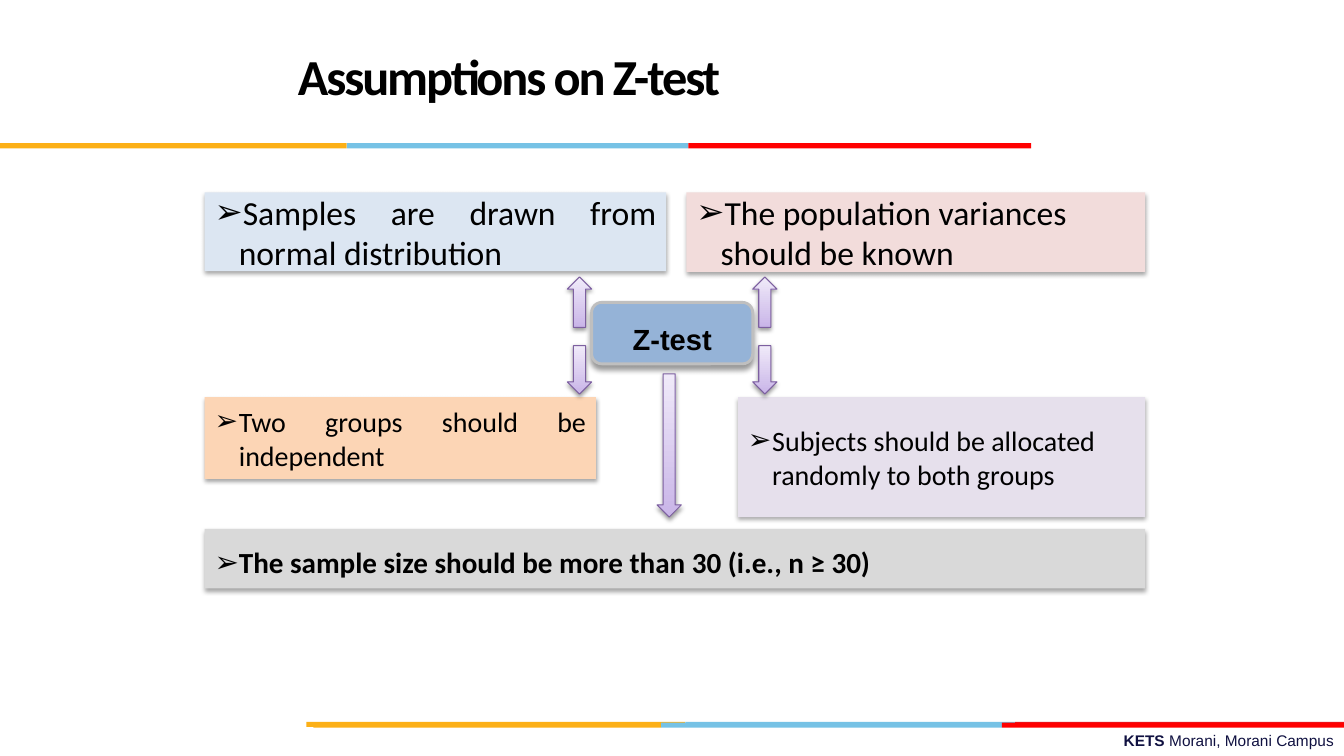
import pptx
import pptx.dml.color
import pptx.enum.shapes
import pptx.enum.text
import pptx.oxml
import pptx.oxml.ns
import pptx.util
from lxml import etree

Cm = pptx.util.Cm
Pt = pptx.util.Pt
RGB = pptx.dml.color.RGBColor
SHAPE = pptx.enum.shapes.MSO_SHAPE
ALIGN = pptx.enum.text.PP_ALIGN
ANCHOR = pptx.enum.text.MSO_ANCHOR
qn = pptx.oxml.ns.qn

BLACK = RGB(0x00, 0x00, 0x00)
NAVY = RGB(0x10, 0x11, 0x41)
GOLD = RGB(0xFC, 0xB0, 0x17)
SKY = RGB(0x76, 0xC2, 0xE5)
RED = RGB(0xFF, 0x00, 0x00)
CRIMSON = RGB(0xE3, 0x1C, 0x24)
HUB_BLUE = RGB(0x95, 0xB3, 0xD7)
HUB_EDGE = RGB(0xBF, 0xBF, 0xBF)
PALE_BLUE = RGB(0xDC, 0xE6, 0xF2)
PALE_PINK = RGB(0xF2, 0xDC, 0xDB)
PEACH = RGB(0xFC, 0xD5, 0xB5)
LAVENDER = RGB(0xE6, 0xE0, 0xEC)
GREY = RGB(0xD9, 0xD9, 0xD9)
ARROW_DARK = RGB(0xC9, 0xB5, 0xE8)
ARROW_LIGHT = RGB(0xF0, 0xEA, 0xF9)
ARROW_EDGE = RGB(0x7D, 0x60, 0xA0)

SLIDE_W, SLIDE_H = 33.87, 19.05
STRIPE_H = 0.13
ARROW_W = 0.61


def add_shape(s, kind, x, y, w, h, fill=None):
    sp = s.shapes.add_shape(kind, Cm(x), Cm(y), Cm(w), Cm(h))
    sp.shadow.inherit = False
    sp.line.fill.background()
    if fill is not None:
        sp.fill.solid()
        sp.fill.fore_color.rgb = fill
    return sp


def add_shadow(sp, opacity, blur, distance):
    effects = sp._element.spPr.find(qn("a:effectLst"))
    shadow = etree.SubElement(
        effects, qn("a:outerShdw"), blurRad=str(Pt(blur)),
        dist=str(Pt(distance)), dir="5400000", rotWithShape="0")
    color = etree.SubElement(shadow, qn("a:srgbClr"), val="000000")
    etree.SubElement(color, qn("a:alpha"), val=str(opacity * 1000))


def add_run(p, text, size, font="Calibri", color=BLACK, bold=False):
    r = p.add_run()
    r.text = text
    r.font.size = Pt(size)
    r.font.name = font
    r.font.bold = bold
    r.font.color.rgb = color
    return r


def add_stripes(s, x, y, widths, colors):
    for w, color in zip(widths, colors):
        add_shape(s, SHAPE.RECTANGLE, x, y, w, STRIPE_H, color)
        x += w


def add_header(s, x, y, w, h):
    # Title
    sp = s.shapes.title
    sp.left, sp.top, sp.width, sp.height = Cm(x), Cm(y), Cm(w), Cm(h)
    tf = sp.text_frame
    tf.vertical_anchor = ANCHOR.MIDDLE
    p = tf.paragraphs[0]
    p.alignment = ALIGN.CENTER
    p.line_spacing = Pt(36)
    r = add_run(p, "Assumptions on Z-test", 36, bold=True)
    r.font._element.set("spc", "-150")
    # Stripes under the title
    add_stripes(s, 0, y + h, (8.74, 8.61, 8.64), (GOLD, SKY, RED))


def add_footer(s, x, y, w):
    # Two layers of stripes, both ending at the right edge
    add_stripes(s, x, y, (9.55, 8.31, w - 17.86), (GOLD, SKY, CRIMSON))
    add_stripes(s, x + 0.18, y + 0.02, (8.76, 8.59, w - 17.53), (GOLD, SKY, RED))
    # Campus name
    sp = s.shapes.add_textbox(Cm(x + 4.42), Cm(y + 0.12), Cm(w - 4.42), Cm(0.74))
    tf = sp.text_frame
    tf.word_wrap = True
    p = tf.paragraphs[0]
    p.alignment = ALIGN.RIGHT
    add_run(p, "KETS ", 11, "Arial", NAVY, True)
    add_run(p, "Morani, Morani Campus", 11, "Arial", NAVY)


def add_card(s, x, y, w, h, fill, text, size, align=ALIGN.LEFT, bold=False, spacing=1.0):
    sp = add_shape(s, SHAPE.ROUND_2_DIAG_RECTANGLE, x, y, w, h, fill)
    sp.adjustments[0] = sp.adjustments[1] = 0
    add_shadow(sp, 35, 3.1, 1.8)
    tf = sp.text_frame
    tf.word_wrap = True
    tf.vertical_anchor = ANCHOR.MIDDLE
    p = tf.paragraphs[0]
    p.alignment = align
    p.line_spacing = spacing
    pPr = p._p.get_or_add_pPr()
    pPr.set("marL", str(Cm(0.61)))
    pPr.set("indent", str(-Cm(0.61)))
    etree.SubElement(pPr, qn("a:buFont"), typeface="Arial")
    etree.SubElement(pPr, qn("a:buChar"), char="➢")
    add_run(p, text, size, bold=bold)


def add_arrow(s, kind, x, y, h):
    sp = add_shape(s, kind, x, y, ARROW_W, h)
    sp.fill.gradient()
    sp.fill.gradient_angle = 90
    for stop, color in zip(sp.fill.gradient_stops, (ARROW_DARK, ARROW_LIGHT)):
        stop.color.rgb = color
    sp.line.color.rgb = ARROW_EDGE
    sp.line.width = Pt(0.75)
    add_shadow(sp, 38, 3.1, 1.6)


def add_hub(s, x, y, w, h):
    sp = add_shape(s, SHAPE.ROUNDED_RECTANGLE, x, y, w, h, HUB_BLUE)
    sp.line.color.rgb = HUB_EDGE
    sp.line.width = Pt(2)
    add_shadow(sp, 40, 4, 3)
    tf = sp.text_frame
    tf.vertical_anchor = ANCHOR.MIDDLE
    tf.margin_top, tf.margin_bottom = Cm(0.3), Cm(0)
    p = tf.paragraphs[0]
    p.alignment = ALIGN.CENTER
    add_run(p, "Z-test", 20.8, "Arial", bold=True)


def add_diagram(s, x, y, w):
    # Hub
    hub_x, hub_y, hub_w, hub_h = x + 9.75, y + 2.77, 4.06, 1.55
    add_hub(s, hub_x, hub_y, hub_w, hub_h)

    # Assumption cards: left column, right column, full-width row
    low = y + 5.16
    add_card(s, x, y, 11.63, 1.98, PALE_BLUE,
             "Samples are drawn from normal distribution", 24, ALIGN.JUSTIFY)
    add_card(s, x + w - 11.56, y, 11.56, 2, PALE_PINK,
             "The population variances should be known", 24)
    add_card(s, x, low, 9.86, 2.06, PEACH,
             "Two groups should be independent", 20, ALIGN.JUSTIFY)
    add_card(s, x + w - 10.26, low, 10.26, 3.02, LAVENDER,
             "Subjects should be allocated randomly to both groups", 20)
    add_card(s, x, y + 8.48, w, 1.5, GREY,
             "The sample size should be more than 30 (i.e., n ≥ 30)", 20.8,
             bold=True, spacing=1.2)

    # Arrows on both sides of the hub, and one below it
    for arrow_x in (hub_x - ARROW_W, hub_x + hub_w):
        add_arrow(s, SHAPE.UP_ARROW, arrow_x, y + 2.13, 1.27)
        add_arrow(s, SHAPE.DOWN_ARROW, arrow_x, y + 3.86, 1.22)
    add_arrow(s, SHAPE.DOWN_ARROW, x + 11.4, hub_y + hub_h + 0.25, 3.61)


def main():
    prs = pptx.Presentation()
    prs.slide_width, prs.slide_height = Cm(SLIDE_W), Cm(SLIDE_H)
    s = prs.slides.add_slide(prs.slide_layouts[5])
    add_footer(s, 7.72, 18.19, SLIDE_W - 7.72)
    add_header(s, 1.12, 0.43, 23.42, 3.18)
    add_diagram(s, 5.16, 4.85, 23.7)
    prs.save("out.pptx")


if __name__ == "__main__":
    main()
